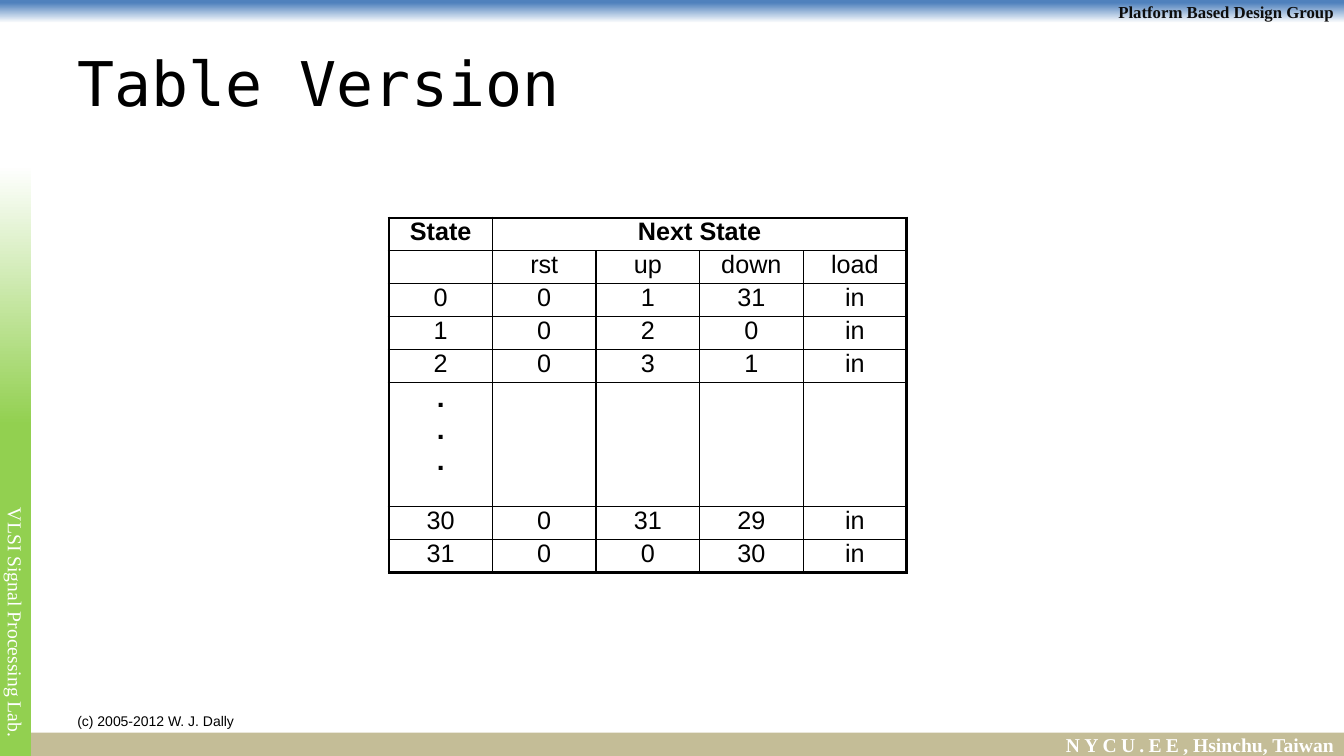
from lxml import etree
from pptx import Presentation
from pptx import util as u
from pptx.dml.color import RGBColor
from pptx.enum import shapes, text
from pptx.oxml.ns import qn

# Content
TITLE = "Table Version"
CREDIT = "(c) 2005-2012 W. J. Dally"
GROUP = "Platform Based Design Group"
LAB = "VLSI Signal Processing Lab."
SCHOOL, PLACE = "NYCU.EE", ", Hsinchu, Taiwan"
DOTS = [".", ".", "."]
ROWS = [
    ["State", "Next State", "", "", ""],
    ["", "rst", "up", "down", "load"],
    ["0", "0", "1", "31", "in"],
    ["1", "0", "2", "0", "in"],
    ["2", "0", "3", "1", "in"],
    [DOTS, "", "", "", ""],
    ["30", "0", "31", "29", "in"],
    ["31", "0", "0", "30", "in"],
]

# Look
C = {"blue": "4F81BD", "green": "92D050", "tan": "C4BD97",
     "white": "FFFFFF", "black": "000000", "ink": "0D0D0D"}
SERIF, SANS, MONO = "Times New Roman", "Arial", "DejaVu Sans Mono"
WIDTH, HEIGHT = 33.87, 19.05
COL_W, ROW_H, DOTS_H = 2.61, 0.83, 3.13
THIN, THICK = 1, 2.25
LEFT, CENTER, RIGHT = (text.PP_ALIGN.LEFT, text.PP_ALIGN.CENTER,
                       text.PP_ALIGN.RIGHT)


def rgb(name):
    return RGBColor.from_string(C[name])


def add_run(p, words, size, font, color, bold=False, spacing=0):
    r = p.add_run()
    r.text = words
    r.font.size, r.font.name, r.font.bold = u.Pt(size), font, bold
    r.font.color.rgb = rgb(color)
    if spacing:
        r.font._element.set("spc", str(spacing * 100))


def frame(sp, align):
    tf = sp.text_frame
    tf.word_wrap = True
    tf.vertical_anchor = text.MSO_ANCHOR.MIDDLE
    tf.paragraphs[0].alignment = align
    return tf


def add_bar(s, x, y, w, h, align):
    sp = s.shapes.add_shape(shapes.MSO_SHAPE.RECTANGLE, *map(u.Cm, (x, y, w, h)))
    sp.shadow.inherit = False
    sp.line.fill.background()
    return sp, frame(sp, align)


def fade(sp, color, start, angle):
    sp.fill.gradient()
    sp.fill.gradient_angle = angle
    stops = zip(sp.fill.gradient_stops, (color, "white"), (start, 1))
    for stop, name, position in stops:
        stop.color.rgb = rgb(name)
        stop.position = position


def add_label(s, x, y, w, h, words, size, font):
    tf = frame(s.shapes.add_textbox(*map(u.Cm, (x, y, w, h))), LEFT)
    add_run(tf.paragraphs[0], words, size, font, "black")


def set_borders(cell, widths):
    tc_pr = cell._tc.get_or_add_tcPr()
    for i, (side, width) in enumerate(zip("LRTB", widths)):
        ln = etree.Element(qn("a:ln" + side), w=str(u.Pt(width)))
        fill = etree.SubElement(ln, qn("a:solidFill"))
        etree.SubElement(fill, qn("a:srgbClr"), val=C["black"])
        tc_pr.insert(i, ln)


def add_state_table(s, x, y):
    n_rows, n_cols = len(ROWS), len(ROWS[0])
    heights = [DOTS_H if row[0] is DOTS else ROW_H for row in ROWS]
    table = s.shapes.add_table(n_rows, n_cols, u.Cm(x), u.Cm(y),
                               u.Cm(COL_W * n_cols), u.Cm(sum(heights))).table
    table.first_row = table.horz_banding = False
    for col in table.columns:
        col.width = u.Cm(COL_W)
    for row, height in zip(table.rows, heights):
        row.height = u.Cm(height)
    table.cell(0, 1).merge(table.cell(0, n_cols - 1))

    for i, row in enumerate(ROWS):
        for j, value in enumerate(row):
            cell = table.cell(i, j)
            if cell.is_spanned:
                continue
            cell.margin_left = cell.margin_right = 0
            cell.margin_top = cell.margin_bottom = 0
            cell.fill.background()
            last = j + cell.span_width if cell.is_merge_origin else j + 1
            outer = (j == 0, last == n_cols, i == 0, i == n_rows - 1)
            set_borders(cell, [THICK if edge else THIN for edge in outer])
            lines = value if value is DOTS else [value]
            for k, line in enumerate(lines):
                tf = cell.text_frame
                p = tf.add_paragraph() if k else tf.paragraphs[0]
                p.alignment = CENTER
                if line:
                    add_run(p, line, 20 if value is DOTS else 18, SANS, "black",
                            bold=i == 0 or value is DOTS)


def main():
    prs = Presentation()
    prs.slide_width, prs.slide_height = u.Cm(WIDTH), u.Cm(HEIGHT)
    s = prs.slides.add_slide(prs.slide_layouts[6])

    # Top bar
    sp, tf = add_bar(s, 0, 0, WIDTH, 0.58, RIGHT)
    fade(sp, "blue", 0.12, 270)
    tf.margin_top = tf.margin_bottom = 0
    add_run(tf.paragraphs[0], GROUP, 12, SERIF, "ink", bold=True)

    # Bottom bar
    sp, tf = add_bar(s, 0, HEIGHT - 0.59, WIDTH, 0.59, RIGHT)
    sp.fill.solid()
    sp.fill.fore_color.rgb = rgb("tan")
    tf.margin_top = tf.margin_bottom = 0
    add_run(tf.paragraphs[0], SCHOOL, 14, SERIF, "white", bold=True, spacing=3)
    add_run(tf.paragraphs[0], PLACE, 14, SERIF, "white", bold=True)

    # Side bar with turned text
    sp, tf = add_bar(s, 0, 4.17, 0.79, HEIGHT - 4.17, CENTER)
    fade(sp, "green", 0.56, 90)
    tf.margin_top = u.Cm(8.41)
    tf._txBody.bodyPr.set("vert", "vert")
    add_run(tf.paragraphs[0], LAB, 14, SERIF, "white")

    # Credit, title and table
    add_label(s, 1.7, 17.65, 7.9, 1.02, CREDIT, 10, SANS)
    add_label(s, 1.7, 0.76, 30.48, 2.62, TITLE, 44, MONO)
    add_state_table(s, 9.8, 5.49)

    prs.save("out.pptx")


if __name__ == "__main__":
    main()
